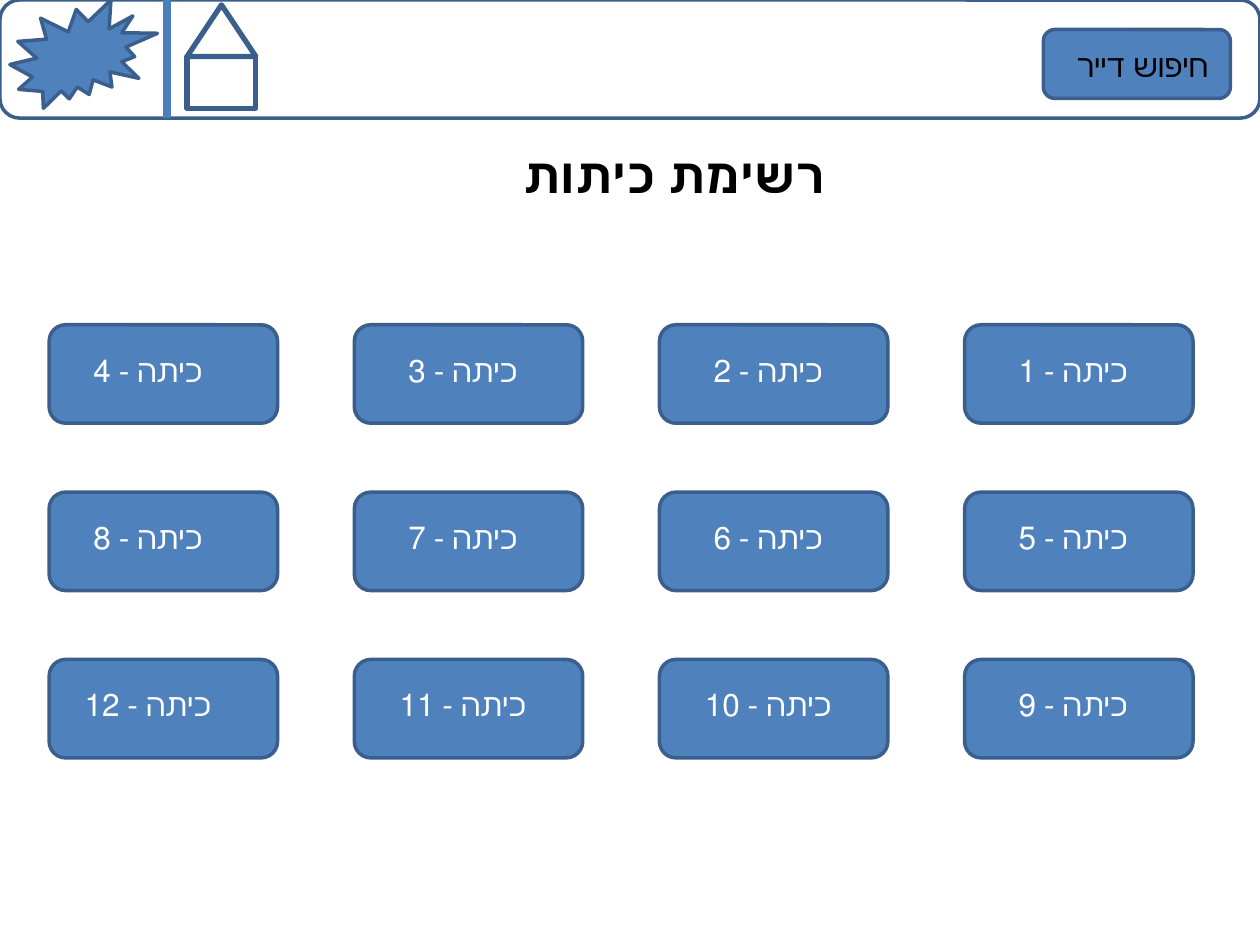
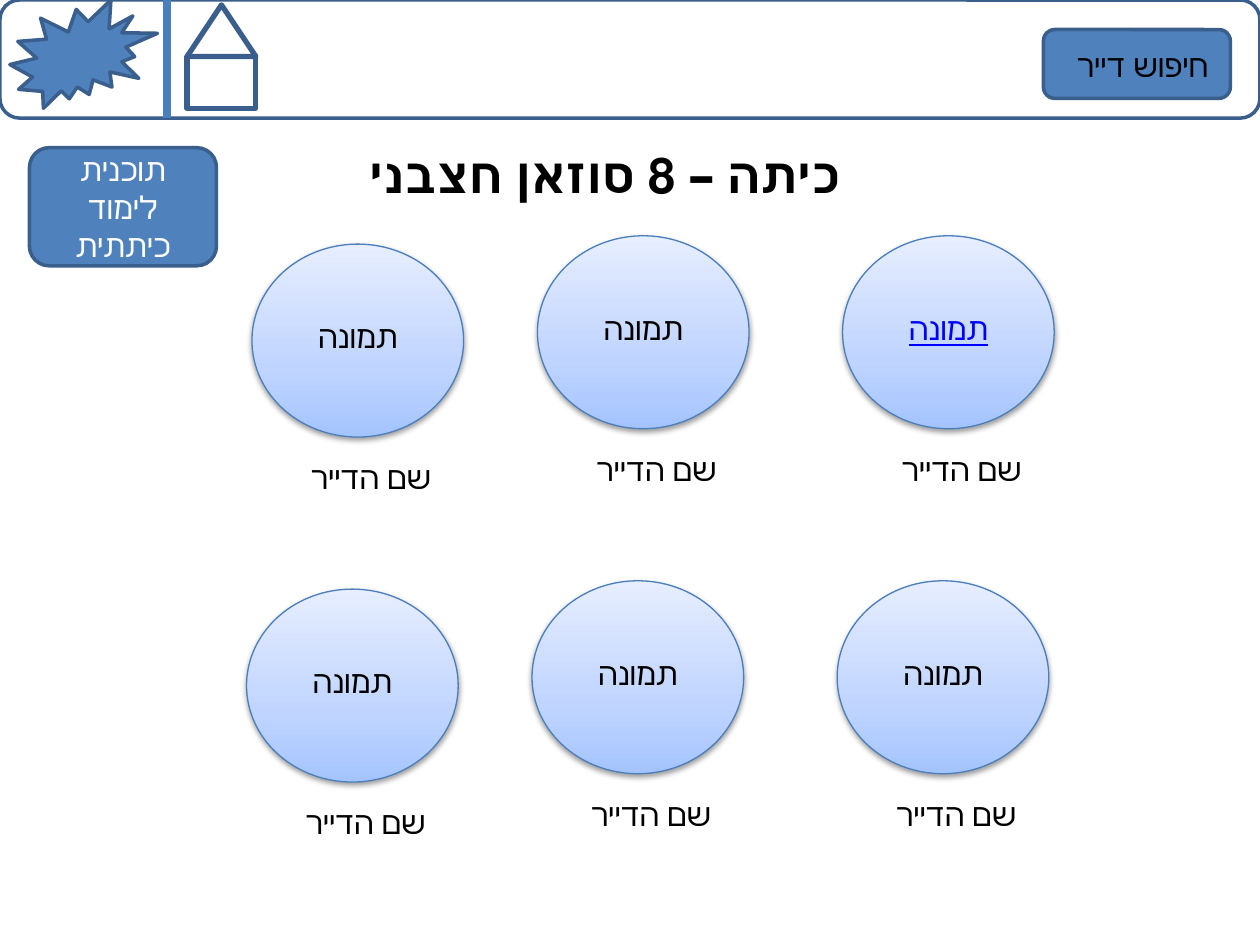
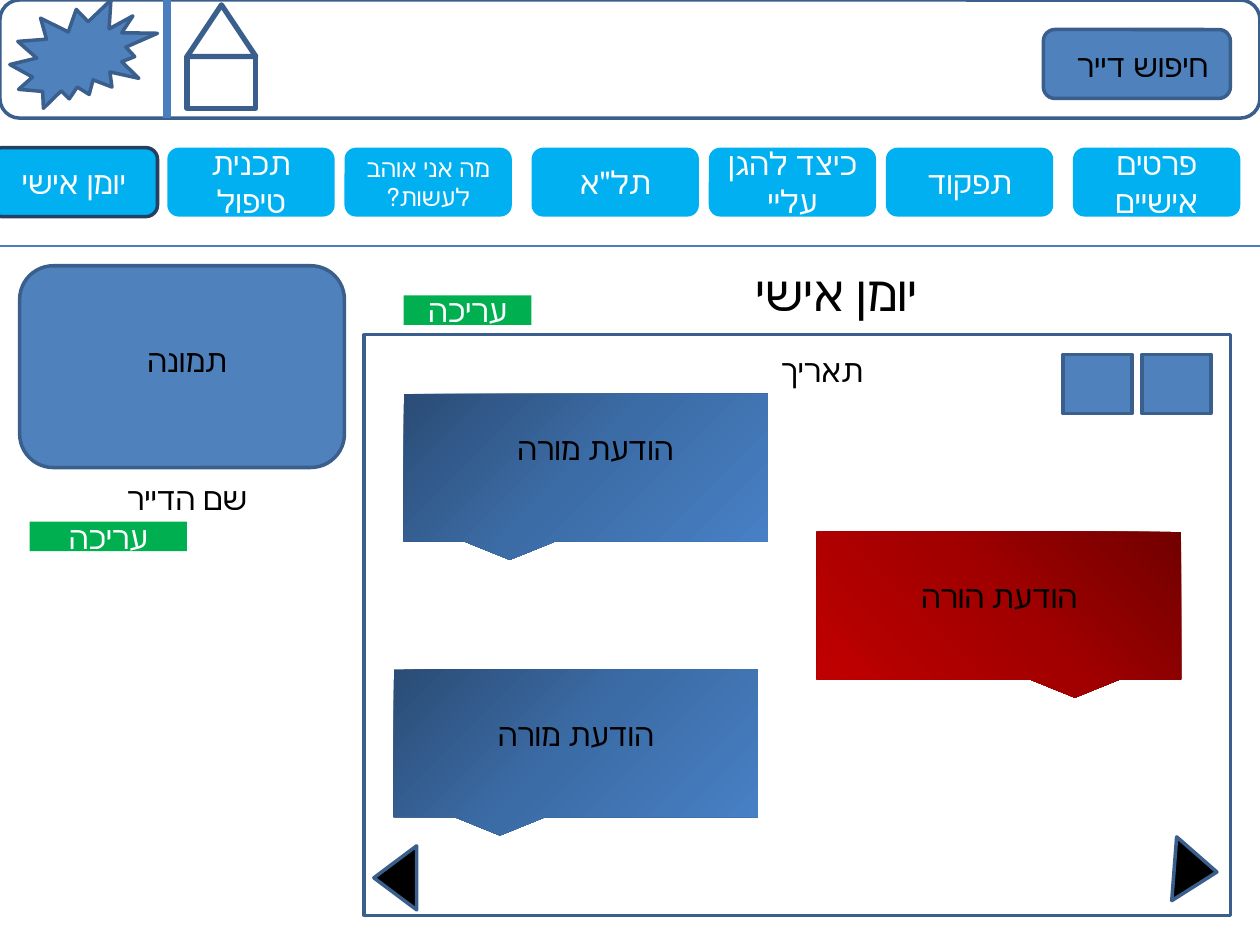
import pptx
import pptx.util
import pptx.dml.color
import pptx.enum.shapes
import pptx.enum.text
import pptx.oxml.ns
import lxml.etree

RGBColor = pptx.dml.color.RGBColor
SHAPE = pptx.enum.shapes.MSO_SHAPE
ALIGN = pptx.enum.text.PP_ALIGN
qn = pptx.oxml.ns.qn

BLUE = RGBColor(0x4F, 0x81, 0xBD)
OUTLINE = RGBColor(0x3A, 0x5F, 0x8C)
RULE = RGBColor(0x4B, 0x7E, 0xBC)
TAB = RGBColor(0x00, 0xB0, 0xF0)
TAB_OUTLINE = RGBColor(0x25, 0x40, 0x61)
GREEN = RGBColor(0x00, 0xB0, 0x50)
LINK = RGBColor(0x00, 0x00, 0xFF)
BLACK = RGBColor(0x00, 0x00, 0x00)
WHITE = RGBColor(0xFF, 0xFF, 0xFF)

PORTRAIT_STOPS = [
    (0, RGBColor(0xA4, 0xC4, 0xFF)),
    (35, RGBColor(0xBF, 0xD4, 0xFF)),
    (100, RGBColor(0xE6, 0xEE, 0xFF)),
]
TEACHER_STOPS = [
    (0, RGBColor(0x2A, 0x4C, 0x75)),
    (50, RGBColor(0x3C, 0x6C, 0xA6)),
    (100, RGBColor(0x47, 0x80, 0xC5)),
]
PARENT_STOPS = [
    (0, RGBColor(0x72, 0x00, 0x00)),
    (50, RGBColor(0xA2, 0x00, 0x00)),
    (100, RGBColor(0xC0, 0x00, 0x00)),
]

FONT = "Calibri"
SLIDE_WIDTH = pptx.util.Inches(10)
SLIDE_HEIGHT = pptx.util.Inches(7.5)
COLUMNS = 128
ROWS = 96
TEXT_ROWS = 5.1
TITLE_ROWS = 7.3


def place(left, top, width, height):
    column, row = SLIDE_WIDTH / COLUMNS, SLIDE_HEIGHT / ROWS
    return [round(value) for value in (left * column, top * row, width * column, height * row)]


def write(shape, text, size, color, align=ALIGN.CENTER, bold=False):
    frame = shape.text_frame
    frame.word_wrap = True
    frame.text = text
    paragraph = frame.paragraphs[0]
    paragraph.alignment = align
    paragraph._p.get_or_add_pPr().set("rtl", "1")
    font = paragraph.runs[0].font
    font.name = FONT
    font.size = pptx.util.Pt(size)
    font.bold = bold
    font.color.rgb = color
    return font


def add_label(shapes, box, text, size=18, color=BLACK, **style):
    label = shapes.add_textbox(*place(*box))
    font = write(label, text, size, color, **style)
    label.text_frame.auto_size = pptx.enum.text.MSO_AUTO_SIZE.SHAPE_TO_FIT_TEXT
    return font


def add_box(shapes, kind, box, fill=None, line=OUTLINE, weight=2, text=None, size=18):
    shape = shapes.add_shape(kind, *place(*box))
    shape.shadow.inherit = False
    if fill is None:
        shape.fill.background()
    else:
        shape.fill.solid()
        shape.fill.fore_color.rgb = fill
    if line is None:
        shape.line.fill.background()
    else:
        shape.line.color.rgb = line
        shape.line.width = pptx.util.Pt(weight)
    if text:
        write(shape, text, size, WHITE)
    return shape


def add_rule(shapes, left, top, right, bottom, weight):
    rule = shapes.add_connector(
        pptx.enum.shapes.MSO_CONNECTOR.STRAIGHT, *place(left, top, right, bottom))
    rule.line.color.rgb = RULE
    rule.line.width = pptx.util.Pt(weight)
    lxml.etree.SubElement(rule.element.spPr, qn("a:effectLst"))


def add_color(parent, color):
    return lxml.etree.SubElement(parent, qn("a:srgbClr"), val=str(color))


def set_gradient(shape, stops, angle):
    shape.fill.gradient()
    shape.fill.gradient_angle = angle
    stop_list = shape.element.spPr.find(".//" + qn("a:gsLst"))
    for stop in list(stop_list):
        stop_list.remove(stop)
    for position, color in stops:
        stop = lxml.etree.SubElement(stop_list, qn("a:gs"), pos=str(position * 1000))
        add_color(stop, color)


def set_shadow(shape):
    effects = shape.element.spPr.find(qn("a:effectLst"))
    shadow = lxml.etree.SubElement(
        effects, qn("a:outerShdw"), blurRad="40000", dist="20000",
        dir="5400000", rotWithShape="0")
    lxml.etree.SubElement(add_color(shadow, BLACK), qn("a:alpha"), val="38000")


def add_header(shapes):
    add_box(shapes, SHAPE.ROUNDED_RECTANGLE, (0, 0, COLUMNS, 12))
    house = shapes.add_group_shape().shapes
    add_box(house, SHAPE.RECTANGLE, (19, 5.75, 7, 5.25), weight=3)
    add_box(house, SHAPE.ISOSCELES_TRIANGLE, (19, 0.5, 7, 5.25), weight=3)
    add_rule(shapes, 17, 0, 17, 12, 4.5)
    add_box(shapes, SHAPE.ROUNDED_RECTANGLE, (106, 3, 19, 7), BLUE)
    add_box(shapes, SHAPE.EXPLOSION2, (1, 0, 15, 11), BLUE)
    add_label(shapes, (107, 4, 17, TEXT_ROWS), "חיפוש דייר", align=ALIGN.RIGHT)


def add_title(shapes, left, top, width, text, bold=True):
    add_label(shapes, (left, top, width, TITLE_ROWS), text, 28, bold=bold)


def add_class_grid(shapes, left, top):
    label_lefts = (94, 63, 32, 0)
    for index in range(12):
        row, column = divmod(index, len(label_lefts))
        button_left = left + 31 * (3 - column)
        button_top = top + 17 * row
        add_box(shapes, SHAPE.ROUNDED_RECTANGLE, (button_left, button_top, 23.2, 10), BLUE)
        add_label(shapes, (label_lefts[column], button_top + 2, 30, TEXT_ROWS),
                  f"כיתה - {index + 1}", color=WHITE)


def add_resident(shapes, left, top, linked):
    card = shapes.add_group_shape().shapes
    portrait = add_box(card, SHAPE.OVAL, (left, top, 21.5, 19.6), BLUE, RULE, 0.75)
    set_gradient(portrait, PORTRAIT_STOPS, 90)
    set_shadow(portrait)
    font = add_label(card, (left + 2.3, top + 6.8, 16.9, TEXT_ROWS), "תמונה",
                     color=LINK if linked else BLACK)
    font.underline = linked
    add_label(card, (left + 2.45, top + 21.1, 17, TEXT_ROWS), "שם הדייר", align=ALIGN.RIGHT)


def add_residents(shapes):
    for row_top, shift in ((23.95, 0), (59, -0.55)):
        for left, drop in ((25.6, 0.85), (54.6, 0), (85.6, 0)):
            linked = shift == 0 and left == 85.6
            add_resident(shapes, left + shift, row_top + drop, linked)


def add_tabs(shapes, top):
    tabs = (
        (109, "פרטים אישיים", 18),
        (90, "תפקוד", 18),
        (72, "כיצד להגן עליי", 18),
        (54, 'תל"א', 18),
        (35, "מה אני אוהב לעשות?", 14),
        (17, "תכנית טיפול", 18),
        (-1, "יומן אישי", 18),
    )
    for left, text, size in tabs:
        outline = TAB_OUTLINE if left < 0 else None
        add_box(shapes, SHAPE.ROUNDED_RECTANGLE, (left, top, 17, 7), TAB, outline,
                text=text, size=size)


def add_edit_button(shapes, left, top, width):
    add_box(shapes, SHAPE.RECTANGLE, (left, top, width, 3), GREEN, None, text="עריכה")


def add_profile(shapes, left, top):
    photo = shapes.add_group_shape().shapes
    add_box(photo, SHAPE.ROUNDED_RECTANGLE, (left, top, 33, 20.5), BLUE)
    add_label(photo, (left - 2, top + 7, 38, TEXT_ROWS), "תמונה")
    add_label(shapes, (left - 5, top + 21, 44, TEXT_ROWS), "שם הדייר")
    add_edit_button(shapes, left + 1, top + 26, 16)


def add_message(shapes, left, top, text, label_left, label_top, stops, flipped=False):
    bubble = add_box(shapes, SHAPE.RECTANGULAR_CALLOUT, (left, top, 37, 15), BLUE, None)
    set_gradient(bubble, stops, 315)
    if flipped:
        bubble.element.spPr.find(qn("a:xfrm")).set("flipH", "1")
    add_label(shapes, (left + label_left, top + label_top, 29, TEXT_ROWS), text)


def add_diary(shapes, left, top):
    add_title(shapes, left + 26, top - 8, 44, "יומן אישי", bold=False)
    add_edit_button(shapes, left + 4, top - 4, 13)
    add_box(shapes, SHAPE.RECTANGLE, (left, top, 88, 59))
    add_label(shapes, (left + 32, top + 1, 29, TEXT_ROWS), "תאריך")
    add_message(shapes, left + 4, top + 6, "הודעת מורה", 5, 3, TEACHER_STOPS)
    add_message(shapes, left + 46, top + 20, "הודעת הורה", 4, 4, PARENT_STOPS, True)
    add_message(shapes, left + 3, top + 34, "הודעת מורה", 4, 4, TEACHER_STOPS)
    for arrow_left, arrow_top, rotation in ((81.2, 52.25, 94.4), (-0.1, 53, 270)):
        arrow = add_box(shapes, SHAPE.FLOWCHART_EXTRACT,
                        (left + arrow_left, top + arrow_top, 6.5, 4.35), BLACK)
        arrow.rotation = rotation
    for square_left in (79, 71):
        add_box(shapes, SHAPE.RECTANGLE, (left + square_left, top + 2, 7, 6), BLUE)


def build_class_list(shapes):
    add_title(shapes, 40, 14, 57, "רשימת כיתות")
    add_class_grid(shapes, 5, 33)


def build_class_page(shapes):
    add_title(shapes, 13, 14, 97, "כיתה – 8 סוזאן חצבני")
    add_residents(shapes)
    add_box(shapes, SHAPE.ROUNDED_RECTANGLE, (3, 15, 19, 12), BLUE, text="תוכנית לימוד כיתתית")


def build_diary_page(shapes):
    add_rule(shapes, 0, 25, COLUMNS, 25, 0.75)
    add_tabs(shapes, 15)
    add_profile(shapes, 2, 27)
    add_diary(shapes, 37, 34)


def main():
    presentation = pptx.Presentation()
    presentation.slide_width = SLIDE_WIDTH
    presentation.slide_height = SLIDE_HEIGHT
    for build in (build_class_list, build_class_page, build_diary_page):
        slide = presentation.slides.add_slide(presentation.slide_layouts[6])
        add_header(slide.shapes)
        build(slide.shapes)
    presentation.save("out.pptx")


if __name__ == "__main__":
    main()
